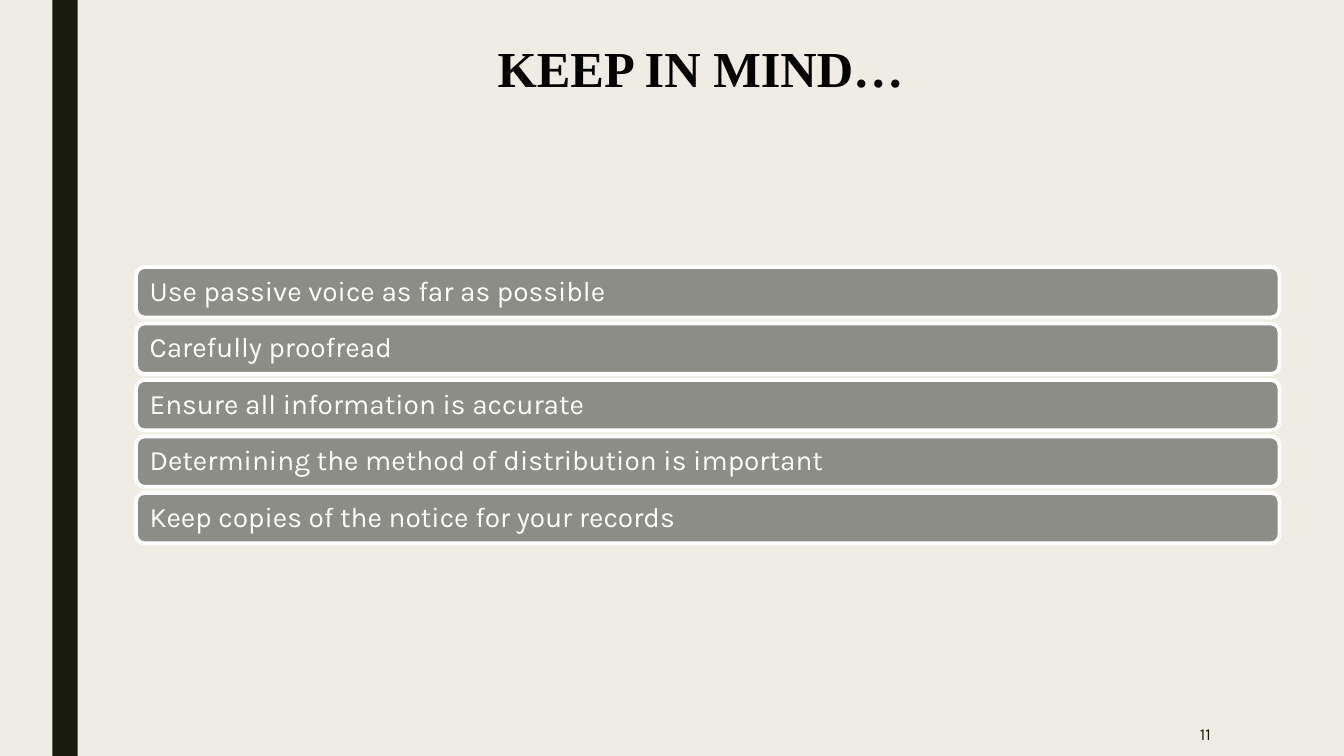
from dataclasses import dataclass

from pptx import Presentation
from pptx import util as u
from pptx.dml.color import RGBColor
from pptx.enum import shapes, text

PX = 9144  # EMU per px, 100 px to the inch

CREAM = RGBColor(0xEF, 0xED, 0xE3)
DARK = RGBColor(0x19, 0x1B, 0x0E)
GREY = RGBColor(0x8C, 0x8D, 0x86)
WHITE = RGBColor(0xFF, 0xFF, 0xFF)
BLACK = RGBColor(0x00, 0x00, 0x00)

SLIDE_WIDTH, SLIDE_HEIGHT = 1333, 750
BAR_LEFT, BAR_TOP, BAR_WIDTH, BAR_HEIGHT, BAR_PITCH = 135, 265, 1134, 50, 56
REMINDERS = (
    "Use passive voice as far as possible",
    "Carefully proofread",
    "Ensure all information is accurate",
    "Determining the method of distribution is important",
    "Keep copies of the notice for your records",
)


@dataclass(frozen=True)
class Box:
    left: int
    top: int
    width: int
    height: int

    def emu(self) -> tuple[int, int, int, int]:
        return self.left * PX, self.top * PX, self.width * PX, self.height * PX


@dataclass(frozen=True)
class Style:
    font: str
    size: int
    color: RGBColor
    align: text.PP_ALIGN
    anchor: text.MSO_ANCHOR
    bold: bool = False


TITLE = Style("Times New Roman", 36, BLACK, text.PP_ALIGN.CENTER, text.MSO_ANCHOR.TOP, True)
REMINDER = Style("Karla", 20, WHITE, text.PP_ALIGN.LEFT, text.MSO_ANCHOR.MIDDLE)
PAGE_NUMBER = Style("Karla", 12, DARK, text.PP_ALIGN.RIGHT, text.MSO_ANCHOR.MIDDLE)


def write(shape, wording: str, style: Style):
    """Fill the shape with one styled run and return its paragraph."""
    frame = shape.text_frame
    frame.word_wrap = True
    frame.vertical_anchor = style.anchor
    paragraph = frame.paragraphs[0]
    paragraph.alignment = style.align
    run = paragraph.add_run()
    run.text = wording
    run.font.name = style.font
    run.font.size = u.Pt(style.size)
    run.font.bold = style.bold
    run.font.color.rgb = style.color
    return paragraph


def add_filled(slide, kind: shapes.MSO_SHAPE, box: Box, fill: RGBColor):
    shape = slide.shapes.add_shape(kind, *box.emu())
    shape.shadow.inherit = False
    shape.fill.solid()
    shape.fill.fore_color.rgb = fill
    shape.line.fill.background()
    return shape


def add_label(slide, box: Box, wording: str, style: Style):
    label = slide.shapes.add_textbox(*box.emu())
    write(label, wording, style)
    return label


def add_reminder(slide, box: Box, wording: str) -> None:
    bar = add_filled(slide, shapes.MSO_SHAPE.ROUNDED_RECTANGLE, box, GREY)
    bar.line.color.rgb = WHITE
    bar.line.width = u.Pt(2.75)
    frame = bar.text_frame
    frame.margin_left = frame.margin_right = 11 * PX
    frame.margin_top = frame.margin_bottom = 8 * PX
    write(bar, wording, REMINDER).line_spacing = 0.9


def main() -> None:
    presentation = Presentation()
    presentation.slide_width = SLIDE_WIDTH * PX
    presentation.slide_height = SLIDE_HEIGHT * PX
    slide = presentation.slides.add_slide(presentation.slide_layouts[6])
    slide.background.fill.solid()
    slide.background.fill.fore_color.rgb = CREAM

    add_filled(slide, shapes.MSO_SHAPE.RECTANGLE, Box(52, 0, 25, SLIDE_HEIGHT), DARK)
    title = add_label(slide, Box(234, 32, 922, 71), "KEEP IN MIND…", TITLE)
    title.text_frame.auto_size = text.MSO_AUTO_SIZE.SHAPE_TO_FIT_TEXT
    for row, wording in enumerate(REMINDERS):
        box = Box(BAR_LEFT, BAR_TOP + row * BAR_PITCH, BAR_WIDTH, BAR_HEIGHT)
        add_reminder(slide, box, wording)
    add_label(slide, Box(1036, 706, 175, 44), "11", PAGE_NUMBER)

    presentation.save("out.pptx")


if __name__ == "__main__":
    main()
